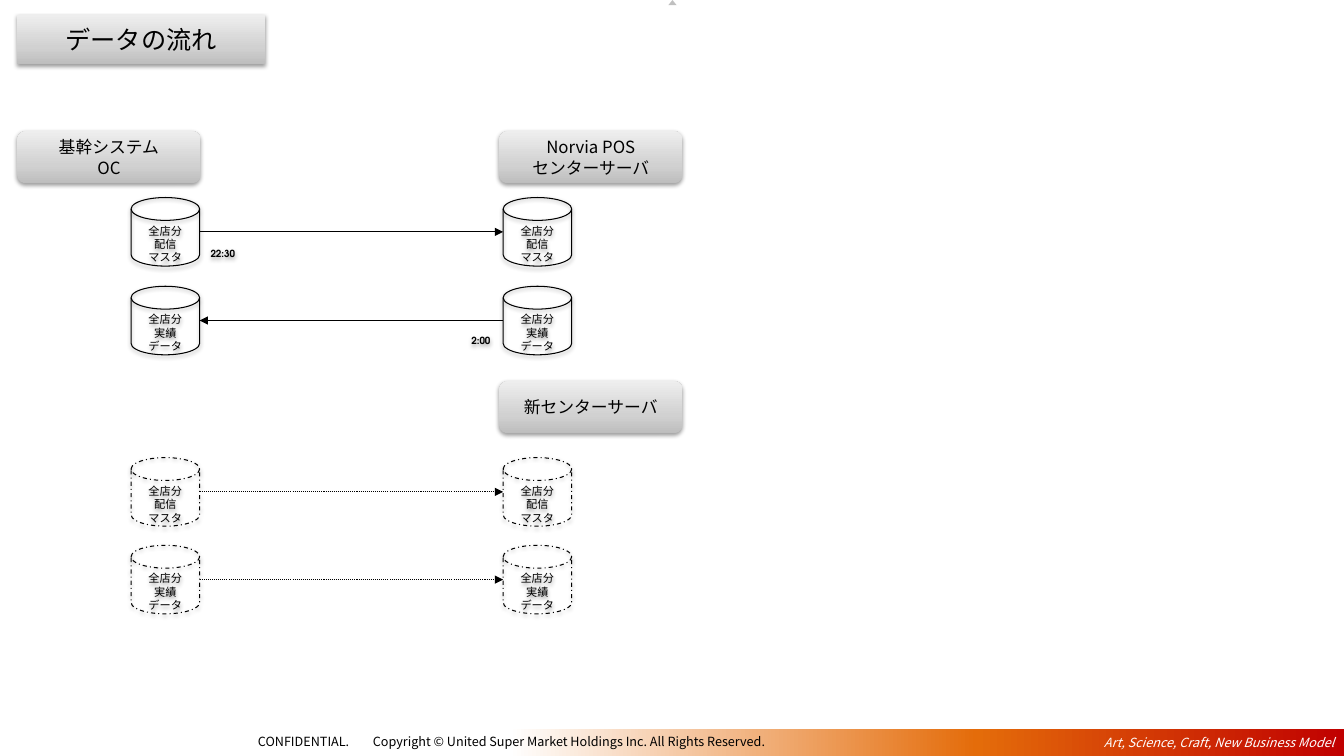
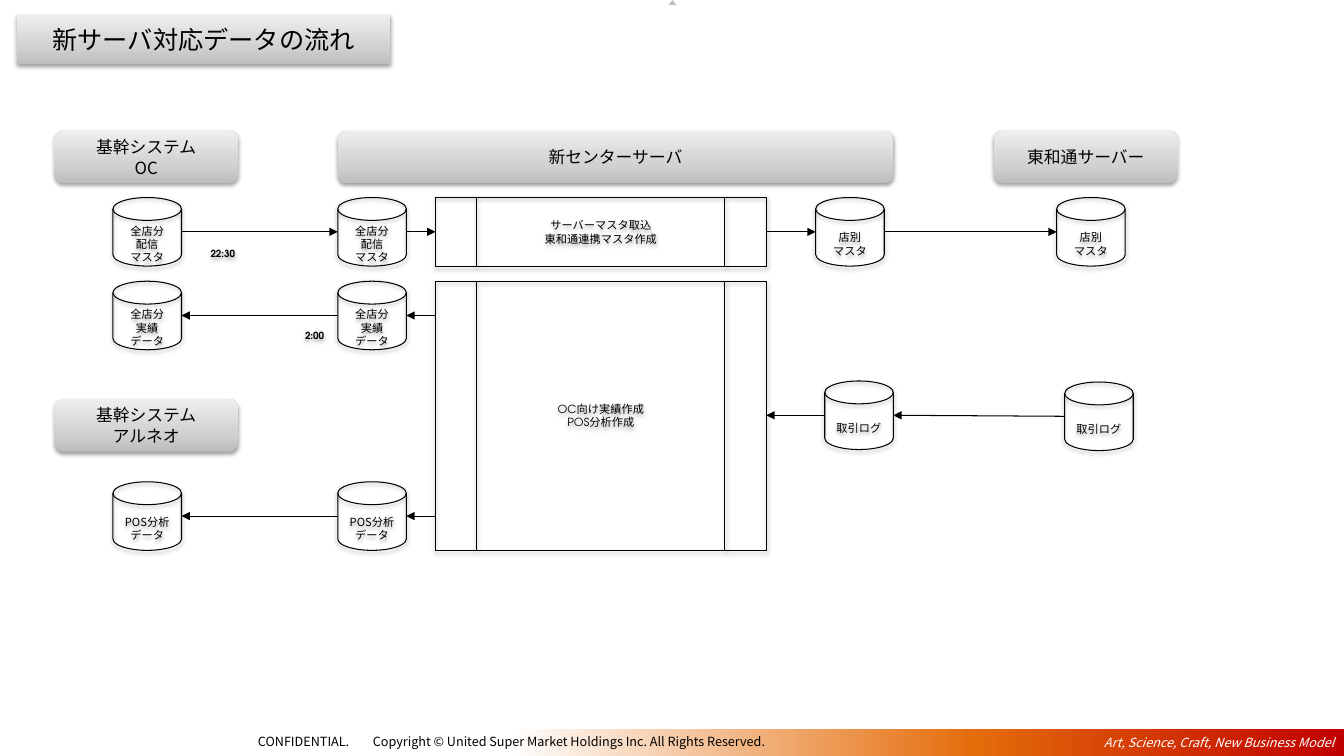
"""Build two slides that show how data flows between store servers."""
import pptx
import pptx.dml.color
import pptx.enum.dml
import pptx.enum.shapes
import pptx.enum.text
import pptx.oxml.ns
import pptx.util
from lxml import etree

Inches = pptx.util.Inches
Pt = pptx.util.Pt
qn = pptx.oxml.ns.qn
PRESET = pptx.enum.shapes.MSO_SHAPE
ALIGN = pptx.enum.text.PP_ALIGN
DASH = pptx.enum.dml.MSO_LINE

BLACK, WHITE, MARKER_GREY = "000000", "FFFFFF", "C0C0C0"
SILVER = [(0, "BDBDBD"), (35, "D1D1D1"), (100, "EEEEEE")]
EMBER = [(0, "FFFFFF"), (56, "E46C0A"), (100, "C00000")]
JP_FONT, FOOTER_FONT, LATIN_FONT = "Noto Sans CJK JP", "Noto Sans CJK TC", "TeX Gyre Adventor"

DISK = 0.68
HEADING_WIDTH, HEADING_HEIGHT = 1.82, 0.52
HEADING_TOP, MASTER_TOP = 1.3, 1.96
MASTER = ["全店分", "配信", "マスタ"]
RESULTS = ["全店分", "実績", "データ"]
STORE_MASTER = ["店別", "マスタ"]
ANALYSIS = ["POS分析データ"]
LOG = ["取引ログ"]


def rgb(color):
    """Turn a hex string into a colour."""
    return pptx.dml.color.RGBColor.from_string(color)


def write(shape, lines, size, font=JP_FONT, color=BLACK, align=ALIGN.CENTER,
          bold=False, italic=False, tab=None):
    """Fill a shape with one paragraph per line in a single style."""
    frame = shape.text_frame
    frame.word_wrap = True
    frame.vertical_anchor = pptx.enum.text.MSO_ANCHOR.MIDDLE
    for index, line in enumerate(lines):
        paragraph = frame.add_paragraph() if index else frame.paragraphs[0]
        paragraph.text = line
        paragraph.alignment = align
        if tab:
            stops = etree.SubElement(paragraph._p.get_or_add_pPr(), qn("a:tabLst"))
            etree.SubElement(stops, qn("a:tab"), pos=str(Inches(tab)), algn="l")
        paragraph.font.name = font
        paragraph.font.size = Pt(size)
        paragraph.font.bold = bold
        paragraph.font.italic = italic
        paragraph.font.color.rgb = rgb(color)
        defaults = paragraph._p.pPr.find(qn("a:defRPr"))
        etree.SubElement(defaults, qn("a:ea"), typeface=FOOTER_FONT if font == FOOTER_FONT else JP_FONT)


def add_shadow(shape):
    """Give a shape the soft shadow that falls straight down."""
    shape.shadow.inherit = False
    effects = shape._element.spPr.find(qn("a:effectLst"))
    outer = etree.SubElement(effects, qn("a:outerShdw"), blurRad=str(Pt(3.1)),
                             dist=str(Pt(1.6)), dir="5400000", rotWithShape="0")
    tint = etree.SubElement(outer, qn("a:srgbClr"), val=BLACK)
    etree.SubElement(tint, qn("a:alpha"), val="38000")


def add_panel(slide, preset, left, top, width, height):
    """Add a preset shape without fill, line or shadow."""
    panel = slide.shapes.add_shape(preset, Inches(left), Inches(top), Inches(width), Inches(height))
    panel.shadow.inherit = False
    panel.fill.background()
    panel.line.fill.background()
    return panel


def shade(shape, stops, angle):
    """Fill a shape with a linear gradient, its angle counted anticlockwise."""
    shape.fill.gradient()
    shape.fill.gradient_angle = angle
    stop_list = shape._element.spPr.find(qn("a:gradFill")).find(qn("a:gsLst"))
    for old in list(stop_list):
        stop_list.remove(old)
    for percent, color in stops:
        stop = etree.SubElement(stop_list, qn("a:gs"), pos=str(percent * 1000))
        etree.SubElement(stop, qn("a:srgbClr"), val=color)


def outline(line, dash=None):
    """Draw a thin black line, dashed on demand."""
    line.color.rgb = rgb(BLACK)
    line.width = Pt(0.75)
    if dash:
        line.dash_style = dash


def add_silver_box(slide, preset, box, lines, size):
    """Add a raised silver box with centred text."""
    silver = add_panel(slide, preset, *box)
    shade(silver, SILVER, 90)
    add_shadow(silver)
    write(silver, lines, size)


def add_heading(slide, left, top, lines, width=HEADING_WIDTH):
    """Add the rounded heading that names a system."""
    add_silver_box(slide, PRESET.ROUNDED_RECTANGLE, (left, top, width, HEADING_HEIGHT), lines, 12)


def add_disk(slide, left, top, lines, dash=None):
    """Add a data store, its text set low beneath the lid."""
    disk = add_panel(slide, PRESET.FLOWCHART_MAGNETIC_DISK, left, top, DISK, DISK)
    outline(disk.line, dash)
    add_shadow(disk)
    write(disk, lines, 8)
    disk.text_frame.margin_top = Inches(0.13)
    disk.text_frame.margin_bottom = 0
    return disk


def add_process(slide, top, height, lines):
    """Add a process box of the new server."""
    process = add_panel(slide, PRESET.FLOWCHART_PREDEFINED_PROCESS, 4.32, top, 3.28, height)
    outline(process.line)
    add_shadow(process)
    write(process, lines, 8, LATIN_FONT)
    return process


def add_time(slide, left, top, time):
    """Add the time at which a transfer runs."""
    label = slide.shapes.add_textbox(Inches(left), Inches(top), Inches(DISK), Inches(0.27))
    add_shadow(label)
    write(label, [time], 7, LATIN_FONT, bold=True)


def level(shape, other):
    """Return the arrow height at a shape, taken from the shorter neighbour."""
    guide = other if shape.height > other.height else shape
    return guide.top + guide.height // 2


def link(slide, source, target, dash=None):
    """Draw an arrow between the facing sides of two shapes."""
    if source.left < target.left:
        start, end = source.left + source.width, target.left
    else:
        start, end = source.left, target.left + target.width
    arrow = slide.shapes.add_connector(
        pptx.enum.shapes.MSO_CONNECTOR.STRAIGHT,
        start, level(source, target), end, level(target, source))
    outline(arrow.line, dash)
    properties = arrow._element.spPr
    etree.SubElement(properties.find(qn("a:ln")), qn("a:tailEnd"), type="triangle")
    etree.SubElement(properties, qn("a:effectLst"))


def add_base(deck, title, title_width):
    """Add a slide with the footer band, top marker and title box."""
    slide = deck.slides.add_slide(deck.slide_layouts[6])
    band = add_panel(slide, PRESET.RECTANGLE, 5.05, 7.23, 8.28, 0.27)
    shade(band, EMBER, 0)
    write(band, ["Art, Science, Craft, New Business Model"], 9, FOOTER_FONT, WHITE,
          ALIGN.RIGHT, italic=True)
    notice = slide.shapes.add_textbox(Inches(2.46), Inches(7.23), Inches(5.49), Inches(0.25))
    write(notice, ["CONFIDENTIAL.\tCopyright © United Super Market Holdings Inc. All Rights Reserved."],
          9, FOOTER_FONT, align=ALIGN.LEFT, tab=1.14)
    marker = add_panel(slide, PRESET.ISOSCELES_TRIANGLE, 6.63, 0, 0.08, 0.05)
    marker.fill.solid()
    marker.fill.fore_color.rgb = rgb(MARKER_GREY)
    add_silver_box(slide, PRESET.RECTANGLE, (0.17, 0.15, title_width, 0.49), [title], 18)
    return slide


def build_current_flow(deck):
    """Build the slide with the present flow and the planned one."""
    slide = add_base(deck, "データの流れ", 2.46)
    core_left, server_left = 1.3, 4.99
    add_heading(slide, 0.17, HEADING_TOP, ["基幹システム", "OC"])
    add_heading(slide, 4.95, HEADING_TOP, ["Norvia POS", "センターサーバ"])
    add_heading(slide, 4.95, 3.78, ["新センターサーバ"])
    transfers = [
        (MASTER_TOP, MASTER, True, None, None),
        (2.84, RESULTS, False, None, None),
        (4.54, MASTER, True, DASH.DASH_DOT, DASH.ROUND_DOT),
        (5.41, RESULTS, True, DASH.DASH_DOT, DASH.ROUND_DOT),
    ]
    for top, lines, to_server, disk_dash, arrow_dash in transfers:
        core = add_disk(slide, core_left, top, lines, disk_dash)
        server = add_disk(slide, server_left, top, lines, disk_dash)
        ends = (core, server) if to_server else (server, core)
        link(slide, *ends, arrow_dash)
    add_time(slide, 1.87, 2.38, "22:30")
    add_time(slide, 4.43, 3.24, "2:00")


def build_new_server_flow(deck):
    """Build the slide with the flow through the new server."""
    slide = add_base(deck, "新サーバ対応データの流れ", 3.7)
    core_left, server_left = 1.12, 3.35
    results_top, analysis_top = 2.79, 4.78
    add_heading(slide, 0.54, HEADING_TOP, ["基幹システム", "OC"])
    add_heading(slide, 0.54, 3.96, ["基幹システム", "アルネオ"])
    add_heading(slide, server_left, HEADING_TOP, ["新センターサーバ"], 5.51)
    add_heading(slide, 9.86, HEADING_TOP, ["東和通サーバー"])

    intake = add_process(slide, MASTER_TOP, DISK, ["サーバーマスタ取込", "東和通連携マスタ作成"])
    reporting = add_process(slide, results_top, 2.67, ["OC向け実績作成", "POS分析作成"])
    master_chain = [
        add_disk(slide, core_left, MASTER_TOP, MASTER),
        add_disk(slide, server_left, MASTER_TOP, MASTER),
        intake,
        add_disk(slide, 8.09, MASTER_TOP, STORE_MASTER),
        add_disk(slide, 10.48, MASTER_TOP, STORE_MASTER),
    ]
    log_chain = [
        add_disk(slide, 10.56, 3.79, LOG),
        add_disk(slide, 8.18, 3.78, LOG),
        reporting,
    ]
    report_chains = [
        [reporting, add_disk(slide, server_left, top, lines), add_disk(slide, core_left, top, lines)]
        for top, lines in [(results_top, RESULTS), (analysis_top, ANALYSIS)]
    ]
    for chain in [master_chain, log_chain, *report_chains]:
        for source, target in zip(chain, chain[1:]):
            link(slide, source, target)
    add_time(slide, 1.87, 2.38, "22:30")
    add_time(slide, 2.78, 3.19, "2:00")


def main():
    """Build the deck and save it."""
    deck = pptx.Presentation()
    deck.slide_width = Inches(13.33)
    deck.slide_height = Inches(7.5)
    build_current_flow(deck)
    build_new_server_flow(deck)
    deck.save("out.pptx")


if __name__ == "__main__":
    main()
